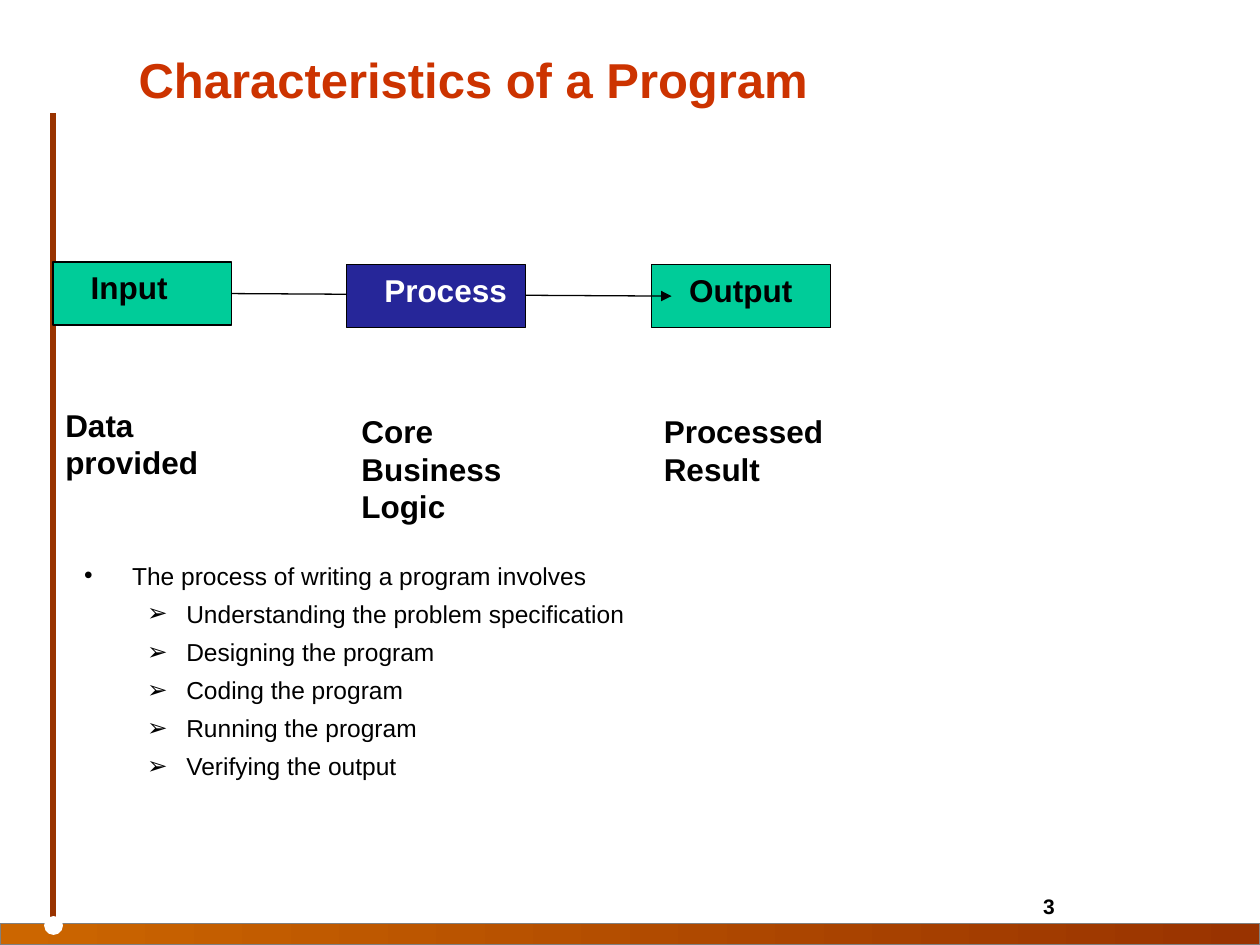
from lxml.etree import SubElement
from pptx import Presentation
from pptx.dml.color import RGBColor
from pptx.enum.shapes import MSO_CONNECTOR, MSO_SHAPE
from pptx.enum.text import MSO_ANCHOR, MSO_AUTO_SIZE, PP_ALIGN
from pptx.oxml.ns import qn
from pptx.util import Inches, Pt

COLORS = {
    "black": "000000", "white": "FFFFFF", "title": "CC3300", "rust": "993300",
    "orange": "CC6600", "gray": "808080", "green": "00CC99", "blue": "262699",
}
STEPS = [
    "Understanding the problem specification",
    "Designing the program",
    "Coding the program",
    "Running the program",
    "Verifying the output",
]


def rgb(name):
    """Return the named colour."""
    return RGBColor.from_string(COLORS[name])


def format_paragraph(paragraph, size, color="black", bold=True):
    """Align a paragraph left and set the font of its runs."""
    paragraph.alignment = PP_ALIGN.LEFT
    for run in paragraph.runs:
        run.font.name = "Arial"
        run.font.size = Pt(size)
        run.font.bold = bold
        run.font.color.rgb = rgb(color)


def add_shape(slide, kind, left, top, width, height, fill=None, line=None):
    """Add a flat preset shape."""
    shape = slide.shapes.add_shape(
        kind, Inches(left), Inches(top), Inches(width), Inches(height))
    shape.shadow.inherit = False
    if fill:
        shape.fill.solid()
        shape.fill.fore_color.rgb = rgb(fill)
    if line:
        shape.line.color.rgb = rgb(line)
        shape.line.width = Pt(0.75)
    else:
        shape.line.fill.background()
    return shape


def add_line(slide, start, end, color, width, arrow=False):
    """Add a straight line, with an arrowhead at its end if wanted."""
    line = slide.shapes.add_connector(
        MSO_CONNECTOR.STRAIGHT, *map(Inches, start + end))
    line.line.color.rgb = rgb(color)
    line.line.width = Pt(width)
    properties = line._element.spPr
    if arrow:
        SubElement(properties.find(qn("a:ln")), qn("a:tailEnd"), type="triangle")
    SubElement(properties, qn("a:effectLst"))
    return line


def add_text(slide, text, left, top, width, height, size=18, wrap=True):
    """Add a text box with bold text."""
    box = slide.shapes.add_textbox(
        Inches(left), Inches(top), Inches(width), Inches(height))
    box.text_frame.word_wrap = wrap
    box.text_frame.text = text
    format_paragraph(box.text_frame.paragraphs[0], size)
    return box


def add_stage(slide, text, left, top, fill, color="black"):
    """Add one labelled box of the flow."""
    stage = add_shape(
        slide, MSO_SHAPE.RECTANGLE, left, top, 1.42, 0.5, fill, "black")
    frame = stage.text_frame
    frame.text = text
    frame.margin_left = Inches(0.3)
    frame.vertical_anchor = MSO_ANCHOR.TOP
    format_paragraph(frame.paragraphs[0], 18, color)
    return stage


def format_bullet(paragraph, character, margin, hanging):
    """Give a paragraph a hanging bullet."""
    paragraph.line_spacing = 1.0
    paragraph.space_before = Pt(5)
    format_paragraph(paragraph, 14, bold=False)
    properties = paragraph._p.get_or_add_pPr()
    properties.set("marL", str(Inches(margin)))
    properties.set("indent", str(-Inches(hanging)))
    bullet_color = SubElement(properties, qn("a:buClr"))
    SubElement(bullet_color, qn("a:srgbClr"), val=COLORS["black"])
    SubElement(properties, qn("a:buFont"), typeface="Arial")
    SubElement(properties, qn("a:buChar"), char=character)


def add_frame(slide):
    """Add the side line, the bottom bar, the dot and the page number."""
    add_line(slide, (0.42, 0.9), (0.42, 7.32), "rust", 3)
    bar = add_shape(slide, MSO_SHAPE.RECTANGLE, 0, 7.33, 10, 0.17, line="gray")
    bar.fill.gradient()
    bar.fill.gradient_angle = 0
    for stop, color in zip(bar.fill.gradient_stops, ("orange", "rust")):
        stop.color.rgb = rgb(color)
    add_shape(slide, MSO_SHAPE.OVAL, 0.35, 7.27, 0.15, 0.15, "white")
    add_text(slide, "3", 8.18, 7.04, 1, 0.3, size=12, wrap=False)


def set_title(slide, text):
    """Place and format the title."""
    title = slide.shapes.title
    title.left, title.top = Inches(1), Inches(0.25)
    title.width, title.height = Inches(7.83), Inches(0.75)
    title.text_frame.text = text
    title.text_frame.auto_size = MSO_AUTO_SIZE.NONE
    title.text_frame.vertical_anchor = MSO_ANCHOR.MIDDLE
    format_paragraph(title.text_frame.paragraphs[0], 28, "title")


def add_flow(slide):
    """Add the flow from input to output with its captions."""
    input_stage = add_stage(slide, "Input", 0.42, 2.08, "green")
    add_stage(slide, "Output", 5.17, 2.1, "green")
    arrow = add_line(slide, (1.84, 2.33), (5.33, 2.35), "black", 0.75, arrow=True)
    arrow.begin_connect(input_stage, 3)
    add_stage(slide, "Process", 2.75, 2.1, "blue", "white")
    add_text(slide, "Data provided", 0.42, 3.17, 1.67, 0.7)
    add_text(slide, "Core Business Logic", 2.77, 3.22, 1.67, 1)
    add_text(slide, "Processed Result", 5.17, 3.22, 1.67, 0.7)


def add_steps(slide):
    """Add the bulleted list of steps."""
    box = add_text(
        slide, "The process of writing a program involves", 0.57, 4.4, 7.69, 1.75)
    format_bullet(box.text_frame.paragraphs[0], "•", 0.38, 0.38)
    for step in STEPS:
        paragraph = box.text_frame.add_paragraph()
        paragraph.text = step
        paragraph.level = 1
        format_bullet(paragraph, "➢", 0.81, 0.31)


def main():
    """Build the slide and save it."""
    presentation = Presentation()
    presentation.slide_width = Inches(10)
    presentation.slide_height = Inches(7.5)
    slide = presentation.slides.add_slide(presentation.slide_layouts[5])
    add_frame(slide)
    set_title(slide, "Characteristics of a Program")
    add_flow(slide)
    add_steps(slide)
    presentation.save("out.pptx")


if __name__ == "__main__":
    main()
